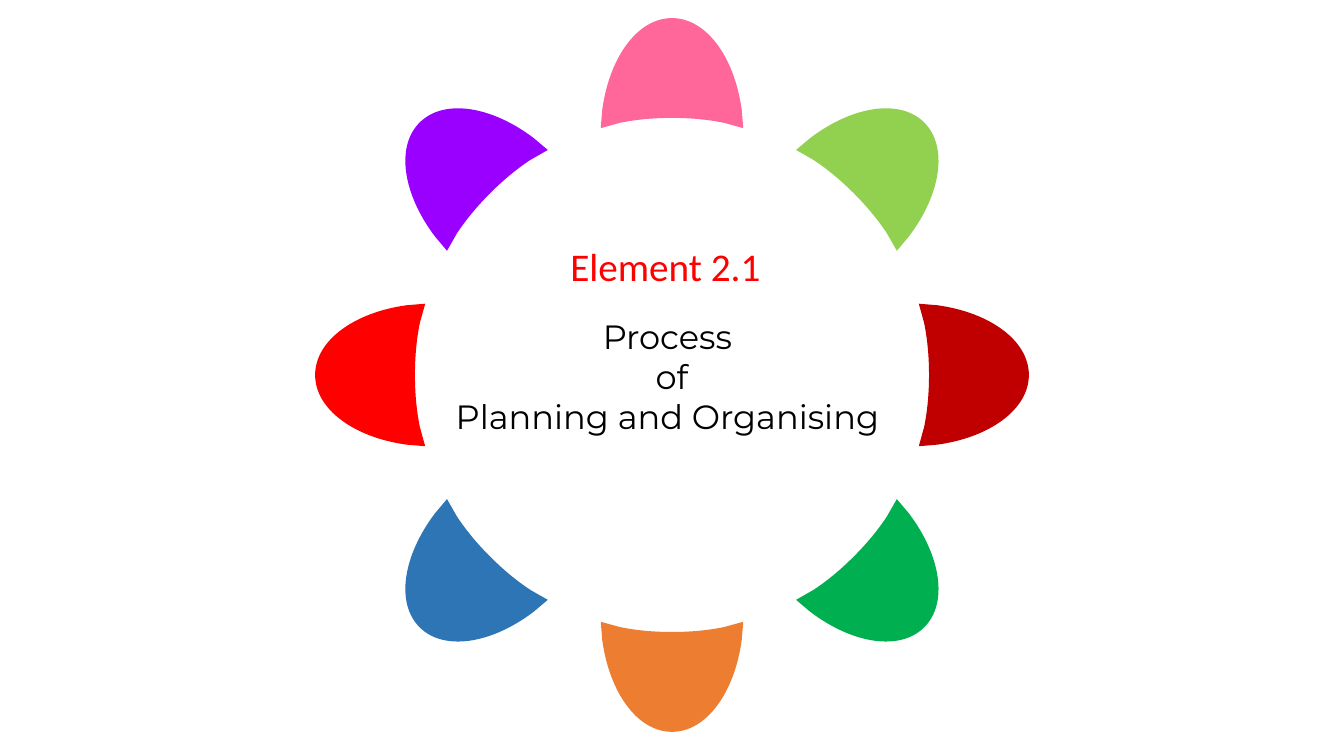
"""Build a slide with a ring of eight petals around a title."""
from math import cos, pi, sin

from lxml import etree
from pptx import Presentation
from pptx import util as u
from pptx.dml import color
from pptx.enum import text
from pptx.oxml import ns

MID_X, MID_Y = 480, 267.84
HALF = [(0, -254.9), (24.6, -254.9), (44.7, -226.9), (49.8, -189.4),
        (50.9, -176.3),
        (37.1, -180.1), (24.8, -182.6), (12.4, -183.6), (0, -183.6)]
EDGE = HALF + [(-x, y) for x, y in HALF[-2::-1]]
MOVES = [("moveTo", 1), ("cubicBezTo", 3), ("lnTo", 1), ("lnTo", 1),
         ("cubicBezTo", 3), ("cubicBezTo", 3), ("lnTo", 1), ("lnTo", 1),
         ("cubicBezTo", 3)]
PETALS = [(0, "FF6699"), (-45, "9900FF"), (45, "92D050"), (-90, "FF0000"),
          (90, "C00000"), (-135, "2E75B6"), (135, "00B050"), (180, "ED7D31")]


def rgb(tone):
    return color.RGBColor.from_string(tone)


def write(words, box, font, size, tone, align, wrap):
    frame = slide.shapes.add_textbox(*map(u.Pt, box)).text_frame
    frame.word_wrap = wrap
    frame.auto_size = text.MSO_AUTO_SIZE.SHAPE_TO_FIT_TEXT
    frame.text = words
    for para in frame.paragraphs:
        para.alignment = align
        run = para.runs[0]
        run.font.name = font
        run.font.size = u.Pt(size)
        run.font.color.rgb = rgb(tone)


deck = Presentation()
deck.slide_width, deck.slide_height = u.Pt(960), u.Pt(540)
slide = deck.slides.add_slide(deck.slide_layouts[6])
ring = slide.shapes.add_group_shape()

for angle, tone in PETALS:
    turn = angle * pi / 180
    dots = [(u.Pt(MID_X + x * cos(turn) - y * sin(turn)),
             u.Pt(MID_Y + x * sin(turn) + y * cos(turn))) for x, y in EDGE]

    rim, at = [], 0
    for move, count in MOVES:
        rim.append(dots[at + count - 1])
        if count == 3:
            for step in range(1, 40):
                t = step / 40
                parts = ((1 - t) ** 3, 3 * t * (1 - t) ** 2,
                         3 * t * t * (1 - t), t ** 3)
                rim.append(tuple(
                    sum(w * dot[axis] for w, dot in zip(parts, dots[at - 1:at + 3]))
                    for axis in (0, 1)))
        at += count
    left, top = (int(min(side)) for side in zip(*rim))
    right, base = (int(max(side)) for side in zip(*rim))

    pen = ring.shapes.build_freeform(left, top)
    pen.add_line_segments([(right, base)], close=True)
    petal = pen.convert_to_shape()
    petal.shadow.inherit = False
    petal.fill.solid()
    petal.fill.fore_color.rgb = rgb(tone)
    petal.line.fill.background()

    track = petal.element.find(".//" + ns.qn("a:path"))
    for child in list(track):
        track.remove(child)
    rest = iter(dots)
    for move, count in MOVES:
        node = etree.SubElement(track, ns.qn("a:" + move))
        for _ in range(count):
            x, y = next(rest)
            etree.SubElement(node, ns.qn("a:pt"), x=str(x - left), y=str(y - top))
    etree.SubElement(track, ns.qn("a:close"))

write("Process \nof\nPlanning and Organising ", (307.4, 221.8, 344.9, 94.3),
      font="Montserrat", size=24, tone="000000",
      align=text.PP_ALIGN.CENTER, wrap=False)
write("Element 2.1", (400.3, 169.2, 159.1, 41), font="Calibri", size=28,
      tone="FF0000", align=text.PP_ALIGN.LEFT, wrap=True)

deck.save("out.pptx")
